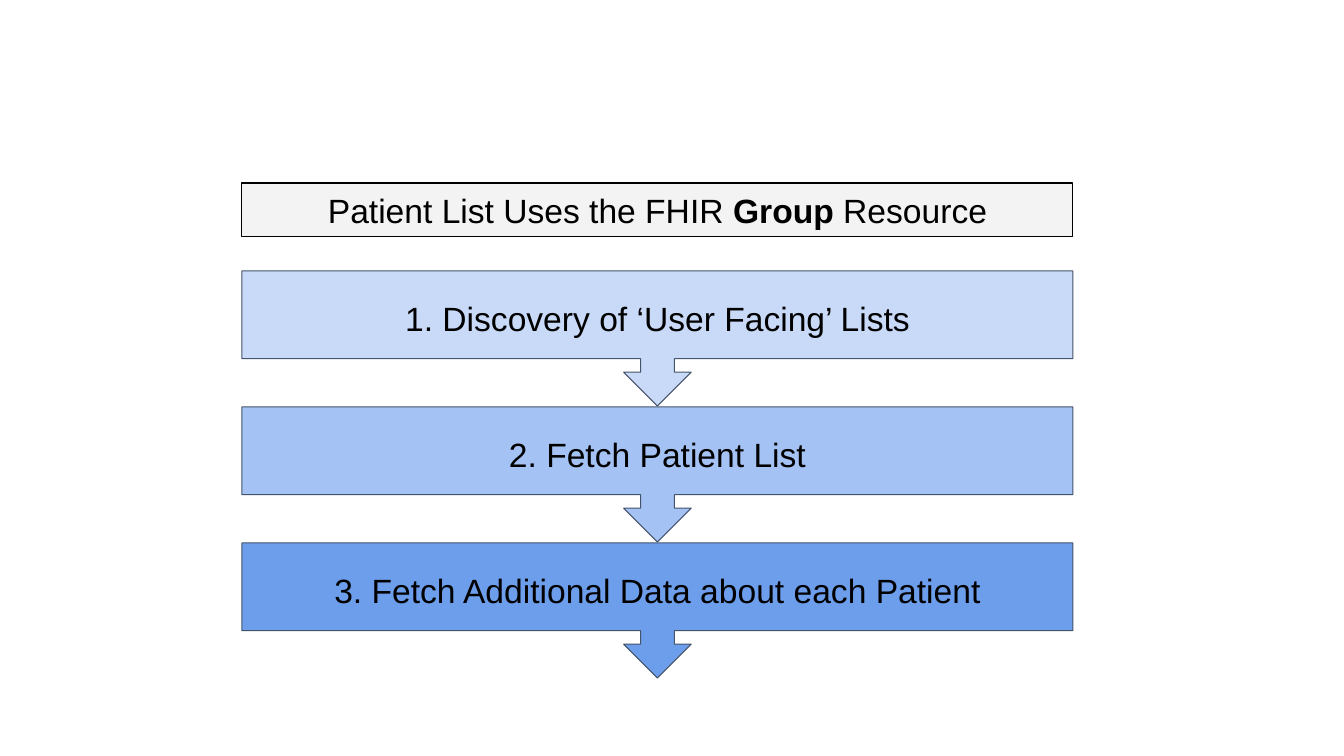
from pptx import Presentation
from pptx.dml.color import RGBColor
from pptx.enum.shapes import MSO_SHAPE
from pptx.enum.text import MSO_ANCHOR, PP_ALIGN
from pptx.util import Pt

PX = 914400 / 100.8
RECT = MSO_SHAPE.RECTANGLE
CALLOUT = MSO_SHAPE.DOWN_ARROW_CALLOUT
MIDDLE = MSO_ANCHOR.MIDDLE
CENTER = PP_ALIGN.CENTER

BLACK = RGBColor(0x00, 0x00, 0x00)
SLATE = RGBColor(0x44, 0x54, 0x6A)
GRAY = RGBColor(0xF3, 0xF3, 0xF3)
PALE = RGBColor(0xC9, 0xDA, 0xF8)
LIGHT = RGBColor(0xA4, 0xC2, 0xF4)
BLUE = RGBColor(0x6D, 0x9E, 0xEB)

LEFT, WIDTH = 242, 831
TOP, STEP, HEIGHT = 271, 136, 135
INSET = 13


def px(n):
    """Turn pixels into EMU."""
    return round(n * PX)


def add_box(kind, top, height, fill, line, parts):
    """Add a full-width box; every second text part is bold."""
    box = slide.shapes.add_shape(kind, px(LEFT), px(top), px(WIDTH), px(height))
    box.shadow.inherit = False
    box.fill.solid()
    box.fill.fore_color.rgb = fill
    box.line.color.rgb = line
    box.line.width = Pt(0.75)
    frame = box.text_frame
    frame.word_wrap = True
    frame.vertical_anchor = MIDDLE
    frame.margin_left = frame.margin_right = px(INSET)
    frame.margin_top = frame.margin_bottom = px(INSET)
    para = frame.paragraphs[0]
    para.alignment = CENTER
    para.font.name = "Arial"
    para.font.size = Pt(24)
    para.font.color.rgb = BLACK
    for i, part in enumerate(parts):
        run = para.add_run()
        run.text = part
        if i % 2:
            run.font.bold = True
    return box


prs = Presentation()
prs.slide_width = px(1344)
prs.slide_height = px(756)
slide = prs.slides.add_slide(prs.slide_layouts[6])

steps = [
    ("1. Discovery of ‘User Facing’ Lists", PALE),
    ("2. Fetch Patient List", LIGHT),
    ("3. Fetch Additional Data about each Patient", BLUE),
]
for i, (text, fill) in enumerate(steps):
    box = add_box(CALLOUT, TOP + i * STEP, HEIGHT, fill, SLATE, [text])
    for k, value in enumerate((0.25, 0.25, 0.25, 0.65)):
        box.adjustments[k] = value
    box.text_frame.paragraphs[0].line_spacing = 1.15

add_box(RECT, 183, 54, GRAY, BLACK,
        ["Patient List Uses the FHIR ", "Group", " Resource"])

prs.save("out.pptx")
